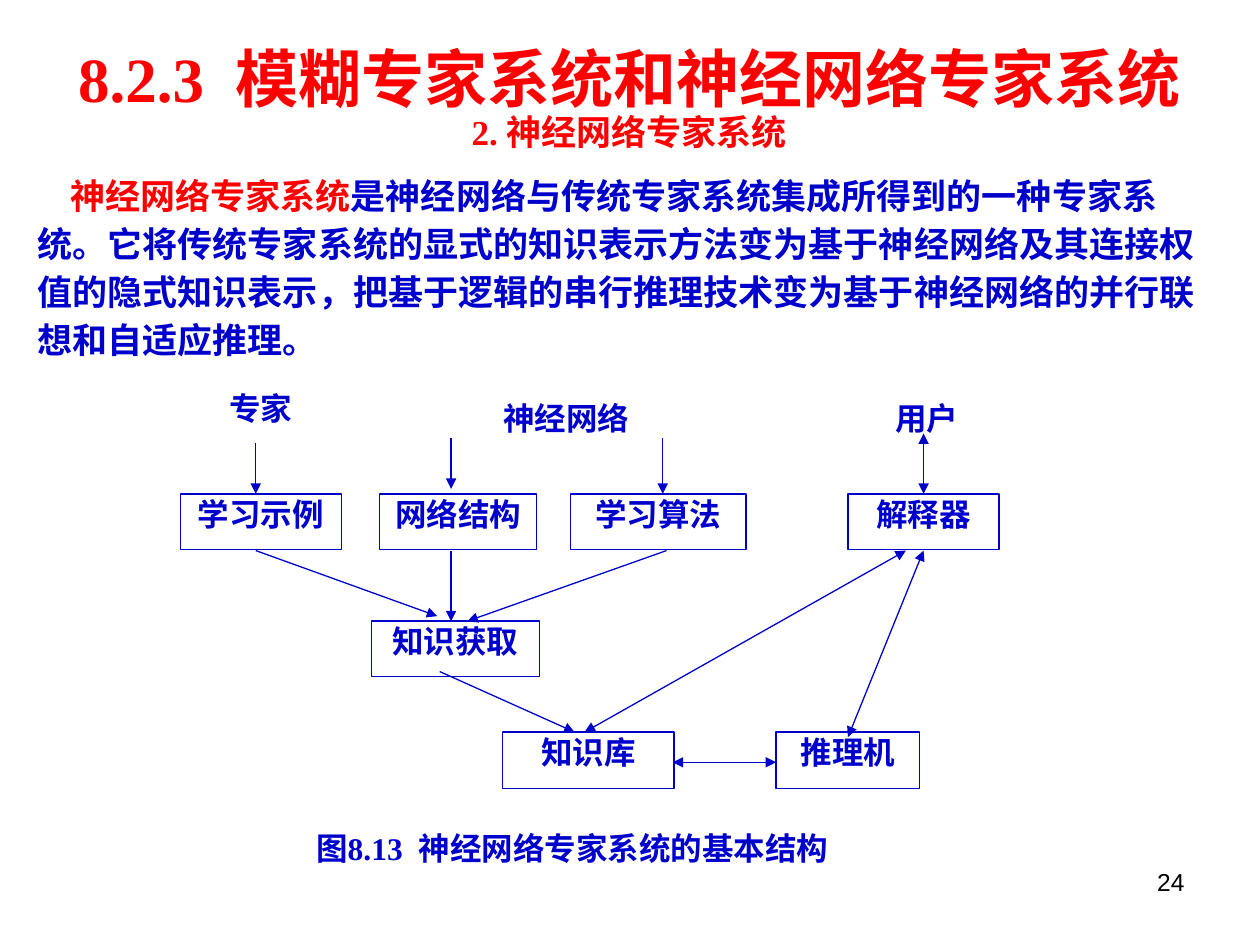
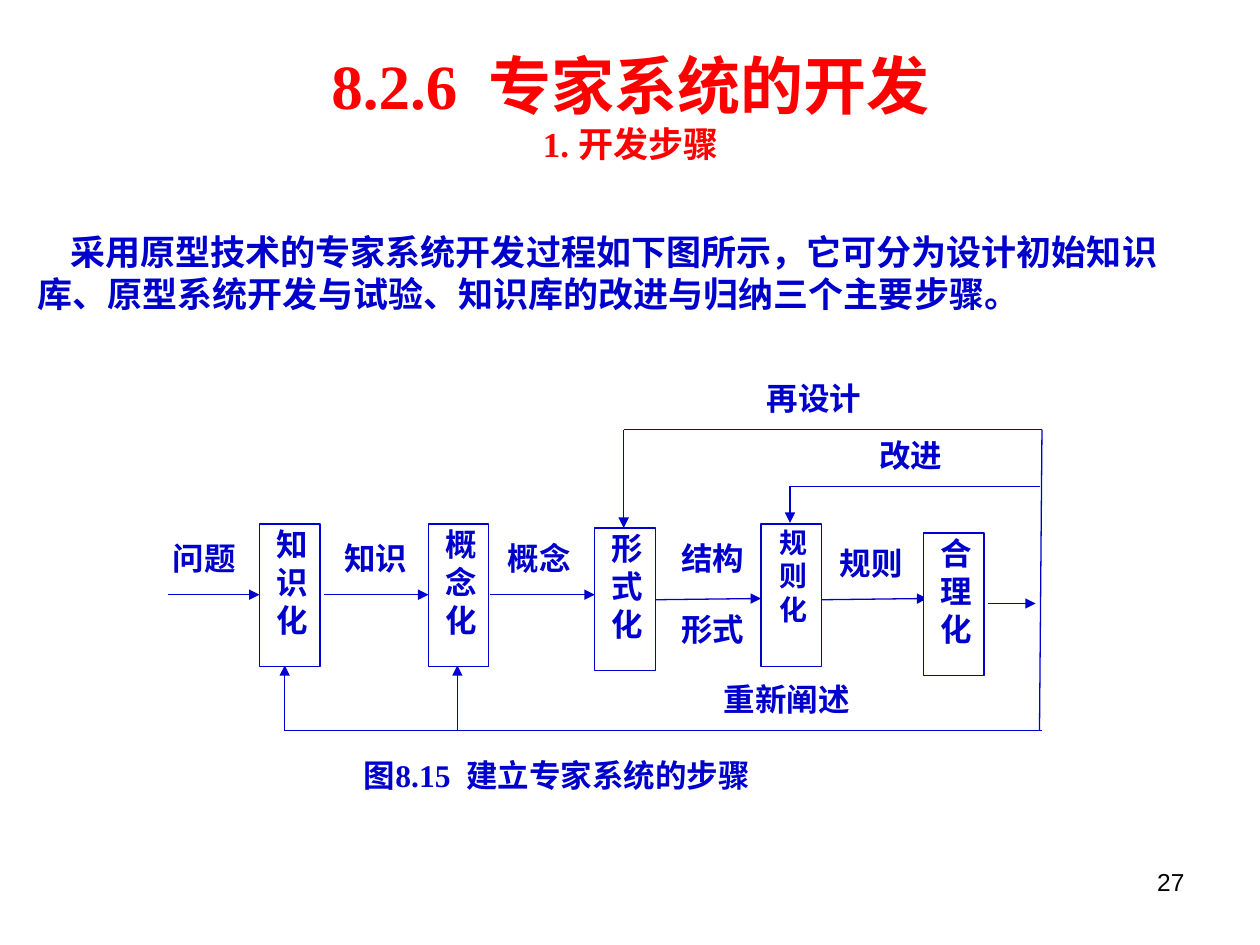
from dataclasses import dataclass

from lxml import etree
from pptx import Presentation
from pptx.dml.color import RGBColor
from pptx.enum import shapes, text
from pptx.oxml import ns
from pptx.util import Emu, Pt

PX = 9144
LEFT, MID, RIGHT = text.PP_ALIGN.LEFT, text.PP_ALIGN.CENTER, text.PP_ALIGN.RIGHT


@dataclass(frozen=True)
class Theme:
    """Hold the colours, fonts and type sizes."""
    red: str = "FF0000"
    blue: str = "0000CC"
    black: str = "000000"
    white: str = "FFFFFF"
    serif: str = "Times New Roman"
    sans: str = "Arial"
    han: str = "Noto Sans CJK SC"
    head: int = 36
    body: int = 20
    label: int = 18
    small: int = 16
    foot: int = 14
    line: float = 0.75
    lead: float = 1.2


T = Theme()


@dataclass(frozen=True)
class Run:
    """Hold a piece of text with one format."""
    words: str
    size: int = T.label
    color: str = T.blue
    font: str = T.serif
    bold: bool = True


@dataclass(frozen=True)
class Area:
    """Hold a place in px."""
    left: int
    top: int
    width: int
    height: int

    def emu(self) -> list[Emu]:
        """Give the place in EMU."""
        return [Emu(n * PX) for n in (self.left, self.top, self.width, self.height)]


@dataclass(frozen=True)
class Box:
    """Hold a box or a bare label of the diagram."""
    words: str
    area: Area
    edge: bool = True
    inset: int = 2
    size: int = T.label
    align: text.PP_ALIGN = MID


@dataclass(frozen=True)
class Wire:
    """Hold a line with optional arrowheads."""
    x1: int
    y1: int
    x2: int
    y2: int
    head: bool = False
    tail: bool = True


@dataclass(frozen=True)
class Page:
    """Hold what one slide shows."""
    title: str
    sub: str
    head: Area
    tight: float
    body: tuple[Run, ...]
    place: Area
    loose: float
    marks: tuple[Box | Wire, ...]
    number: str


def rgb(code: str) -> RGBColor:
    """Turn a hex code into a colour."""
    return RGBColor.from_string(code)


def setup(frame, sides: tuple[int, int, int, int]) -> None:
    """Set wrapping, anchor and margins of a text frame."""
    frame.word_wrap = True
    frame.auto_size = text.MSO_AUTO_SIZE.NONE
    frame.vertical_anchor = text.MSO_ANCHOR.TOP
    edges = [Emu(n * PX) for n in sides]
    frame.margin_left, frame.margin_top, frame.margin_right, frame.margin_bottom = edges


def write(para, runs: tuple[Run, ...], align: text.PP_ALIGN, ratio: float = 1) -> None:
    """Fill a paragraph run by run."""
    para.alignment = align
    para.line_spacing = Pt(round(runs[0].size * T.lead * ratio, 1))
    para.space_before = Pt(0)
    for item in runs:
        run = para.add_run()
        run.text = item.words
        font = run.font
        font.size, font.bold, font.name = Pt(item.size), item.bold, item.font
        font.color.rgb = rgb(item.color)
        etree.SubElement(font._element, ns.qn("a:ea"), typeface=T.han)


def note(slide, area: Area, runs: tuple[Run, ...], align: text.PP_ALIGN,
         ratio: float = 1, indent: int = 0) -> None:
    """Add a text box with one paragraph."""
    frame = slide.shapes.add_textbox(*area.emu()).text_frame
    setup(frame, (10, 5, 10, 5))
    para = frame.paragraphs[0]
    write(para, runs, align, ratio)
    props = para._p.get_or_add_pPr()
    props.set("indent", str(indent * PX))
    props.set("hangingPunct", "0")


def draw_box(slide, box: Box) -> None:
    """Draw a box or a label."""
    shape = slide.shapes.add_shape(shapes.MSO_SHAPE.RECTANGLE, *box.area.emu())
    shape.shadow.inherit = False
    shape.fill.solid()
    shape.fill.fore_color.rgb = rgb(T.white)
    if box.edge:
        shape.line.color.rgb = rgb(T.blue)
        shape.line.width = Pt(T.line)
    else:
        shape.line.fill.background()
    setup(shape.text_frame, (box.inset, 1, 2, 1))
    write(shape.text_frame.paragraphs[0], (Run(box.words, box.size),), box.align)


def draw_wire(slide, wire: Wire) -> None:
    """Draw a line with its arrowheads."""
    ends = [Emu(n * PX) for n in (wire.x1, wire.y1, wire.x2, wire.y2)]
    link = slide.shapes.add_connector(shapes.MSO_CONNECTOR.STRAIGHT, *ends)
    link.line.color.rgb = rgb(T.blue)
    link.line.width = Pt(T.line)
    props = link._element.spPr
    stroke = props.get_or_add_ln()
    for tag, shown in (("a:headEnd", wire.head), ("a:tailEnd", wire.tail)):
        if shown:
            etree.SubElement(stroke, ns.qn(tag), type="triangle")
    etree.SubElement(props, ns.qn("a:effectLst"))


def draw_page(deck, page: Page) -> None:
    """Add one slide with title, body, diagram and number."""
    slide = deck.slides.add_slide(deck.slide_layouts[5])
    title = slide.shapes.title
    title.left, title.top, title.width, title.height = page.head.emu()
    frame = title.text_frame
    setup(frame, (10, 5, 10, 5))
    write(frame.paragraphs[0], (Run(page.title, T.head, T.red),), MID, page.tight)
    write(frame.add_paragraph(), (Run(page.sub, T.body, T.red),), MID, page.tight)
    note(slide, page.place, page.body, LEFT, page.loose, 26)
    for mark in page.marks:
        if isinstance(mark, Box):
            draw_box(slide, mark)
        else:
            draw_wire(slide, mark)
    number = Run(page.number, T.foot, T.black, T.sans, False)
    note(slide, Area(717, 683, 233, 52), (number,), RIGHT)


def node(words: str, left: int, top: int, width: int, height: int = 44) -> Box:
    """Make an outlined box."""
    return Box(words, Area(left, top, width, height))


def label(words: str, left: int, top: int, width: int, height: int = 37,
          align: text.PP_ALIGN = MID) -> Box:
    """Make a label without outline."""
    return Box(words, Area(left, top, width, height), False, align=align)


def stage(words: str, left: int, top: int, size: int = T.label) -> Box:
    """Make a narrow box that stacks its characters."""
    return Box(words, Area(left, top, 48, 113), inset=6, size=size)


NEURAL = Page(
    "8.2.3  模糊专家系统和神经网络专家系统", "2. 神经网络专家系统",
    Area(27, 32, 945, 94), 0.9,
    (Run("神经网络专家系统", T.body, T.red),
     Run("是神经网络与传统专家系统集成所得到的一种专家系统。"
         "它将传统专家系统的显式的知识表示方法变为基于神经网络及其连接权值的隐式知识表示，"
         "把基于逻辑的串行推理技术变为基于神经网络的并行联想和自适应推理。", T.body)),
    Area(20, 129, 961, 162), 1.14,
    (
        label("专家", 170, 308, 74, 44),
        label("神经网络", 388, 316, 123, 44),
        label("用户", 700, 316, 71, 40),
        node("学习示例", 143, 392, 128),
        node("网络结构", 301, 392, 125),
        node("学习算法", 453, 392, 139),
        node("解释器", 673, 392, 120),
        node("知识获取", 295, 493, 133),
        node("知识库", 399, 581, 136, 45),
        node("推理机", 616, 581, 114, 45),
        label("图8.13  神经网络专家系统的基本结构", 249, 657, 460, 44, LEFT),
        Wire(203, 352, 203, 392),
        Wire(358, 348, 358, 388),
        Wire(526, 348, 526, 392),
        Wire(733, 344, 733, 392, True),
        Wire(203, 437, 347, 489),
        Wire(358, 437, 358, 493),
        Wire(529, 437, 371, 493),
        Wire(349, 533, 456, 581),
        Wire(464, 581, 719, 437, True),
        Wire(534, 605, 616, 605, True),
        Wire(733, 437, 673, 585, True),
    ), "24")

STEPS = Page(
    "8.2.6  专家系统的开发", "1. 开发步骤",
    Area(20, 32, 961, 104), 1,
    (Run("采用原型技术的专家系统开发过程如下图所示，它可分为设计初始知识库、"
         "原型系统开发与试验、知识库的改进与归纳三个主要步骤。", T.body),),
    Area(20, 178, 961, 77), 1,
    (
        Wire(133, 472, 206, 472),
        Wire(257, 472, 340, 472),
        Wire(389, 472, 472, 472),
        Wire(520, 476, 604, 475),
        Wire(652, 476, 736, 475),
        Wire(784, 479, 822, 479),
        Wire(827, 341, 825, 580, tail=False),
        Wire(827, 341, 495, 341, tail=False),
        Wire(495, 341, 495, 419),
        Wire(627, 386, 825, 386, tail=False),
        Wire(627, 386, 627, 415),
        Wire(226, 580, 827, 580, tail=False),
        Wire(226, 580, 226, 528),
        Wire(363, 580, 363, 528),
        stage("知识化", 206, 416),
        stage("概念化", 340, 416),
        stage("形式化", 472, 419),
        stage("规则化", 604, 416, T.small),
        stage("合理化", 733, 423),
        label("问题", 133, 427, 58),
        label("知识", 269, 427, 58),
        label("概念", 399, 427, 58),
        label("结构", 536, 427, 59),
        label("形式", 536, 483, 59),
        label("规则", 662, 431, 59),
        label("再设计", 604, 300, 84, 34),
        label("改进", 690, 345, 66, 34),
        label("重新阐述", 569, 539, 111, 34),
        label("图8.15  建立专家系统的步骤", 267, 599, 350, 41),
    ), "27")


def main() -> None:
    """Build the slides and save them."""
    deck = Presentation()
    deck.slide_width, deck.slide_height = Emu(1000 * PX), Emu(750 * PX)
    for page in (NEURAL, STEPS):
        draw_page(deck, page)
    deck.save("out.pptx")


if __name__ == "__main__":
    main()
